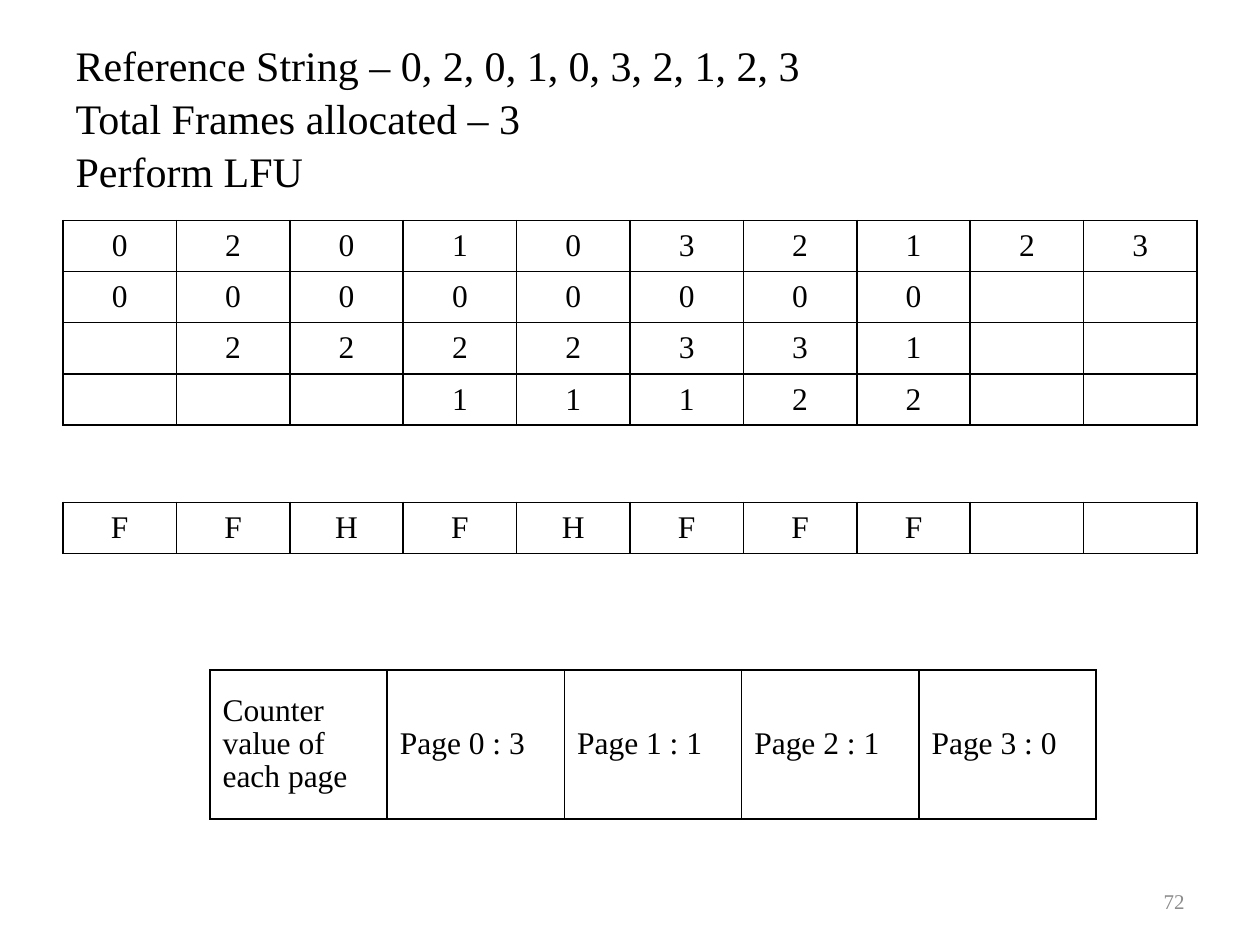
from pptx import Presentation
from pptx.dml.color import RGBColor as RGB
from pptx.enum.text import MSO_ANCHOR as Anchor, PP_ALIGN as Align
from pptx.util import Pt
from lxml.etree import SubElement as Sub
from pptx.oxml.ns import qn

TITLE = [
    "Reference String – 0, 2, 0, 1, 0, 3, 2, 1, 2, 3",
    "Total Frames allocated – 3",
    "Perform LFU",
]
FRAMES = ["0201032123", "00000000  ", " 2222331  ", "   11122  "]
FAULTS = ["FFHFHFFF  "]
COUNTS = [["Counter value of each page", "Page 0 : 3", "Page 1 : 1",
           "Page 2 : 1", "Page 3 : 0"]]
NUMBER = "72"

GRIDS = [
    dict(rows=FRAMES, box=(36, 126, 648, 116.8), align=Align.CENTER, space=1),
    dict(rows=FAULTS, box=(36, 287, 648, 28.4), align=Align.CENTER, space=1),
    dict(rows=COUNTS, box=(120, 383, 506.5, 85), align=Align.LEFT, space=0.95),
]
FONT = "Times New Roman"
BLACK, GREY = "000000", "8C8C8C"


def color(code):
    return RGB.from_string(code)


def style(para, size, align, code=BLACK, space=1):
    para.alignment = align
    para.line_spacing = space
    looks = {"name": FONT, "size": Pt(size), "bold": False}
    for run in para.runs:
        for key, value in looks.items():
            setattr(run.font, key, value)
        run.font.color.rgb = color(code)


def place(shape, box):
    for key, value in zip(("left", "top", "width", "height"), box):
        setattr(shape, key, Pt(value))


def edge(cell):
    props = cell._tc.get_or_add_tcPr()
    for side in ("lnL", "lnR", "lnT", "lnB"):
        line = Sub(props, qn(f"a:{side}"), w=str(Pt(1)))
        Sub(Sub(line, qn("a:solidFill")), qn("a:srgbClr"), val=BLACK)


def grid(slide, rows, box, align, space):
    wide, high = len(rows[0]), len(rows)
    frame = slide.shapes.add_table(high, wide, *map(Pt, box))
    table = frame.table
    table.first_row = table.horz_banding = False
    for col in table.columns:
        col.width = Pt(box[2] / wide)
    for r, row in enumerate(rows):
        table.rows[r].height = Pt(box[3] / high)
        for c, text in enumerate(row):
            cell = table.cell(r, c)
            cell.text = text.strip()
            cell.vertical_anchor = Anchor.MIDDLE
            edge(cell)
            cell.fill.background()
            style(cell.text_frame.paragraphs[0], 18, align, space=space)


def main():
    deck = Presentation()
    deck.slide_width, deck.slide_height = Pt(720), Pt(540)
    slide = deck.slides.add_slide(deck.slide_layouts[5])

    title = slide.shapes.title
    place(title, (36, 21.6, 648, 90))
    title.text_frame.text = "\v".join(TITLE)
    title.text_frame.vertical_anchor = Anchor.MIDDLE
    style(title.text_frame.paragraphs[0], 24, Align.LEFT, space=1.05)

    for item in GRIDS:
        grid(slide, **item)

    note = slide.shapes.add_textbox(*map(Pt, (516, 500.5, 168, 28.8)))
    note.text_frame.word_wrap = True
    note.text_frame.vertical_anchor = Anchor.MIDDLE
    note.text_frame.text = NUMBER
    style(note.text_frame.paragraphs[0], 12, Align.RIGHT, GREY)

    deck.save("out.pptx")


if __name__ == "__main__":
    main()
